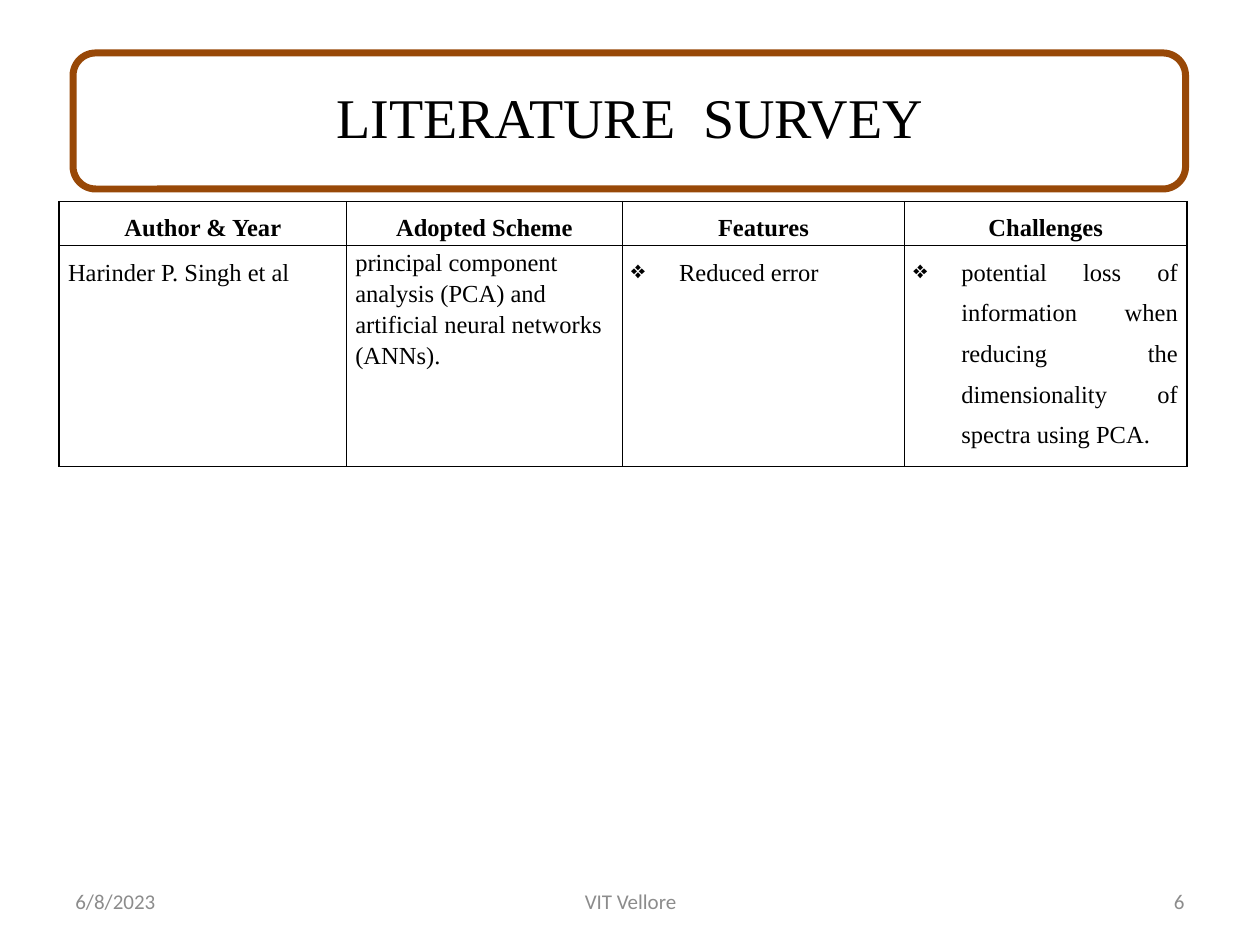
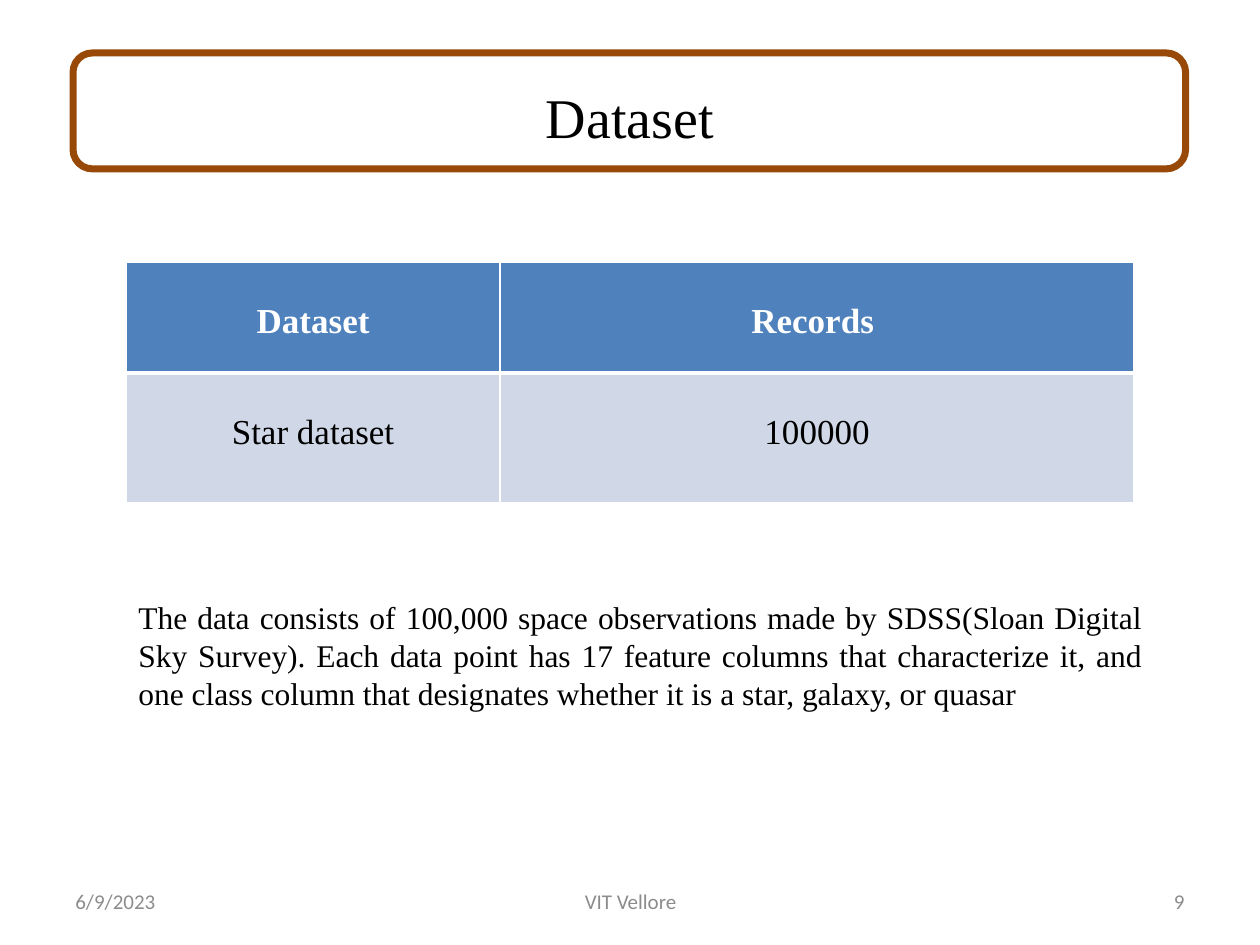
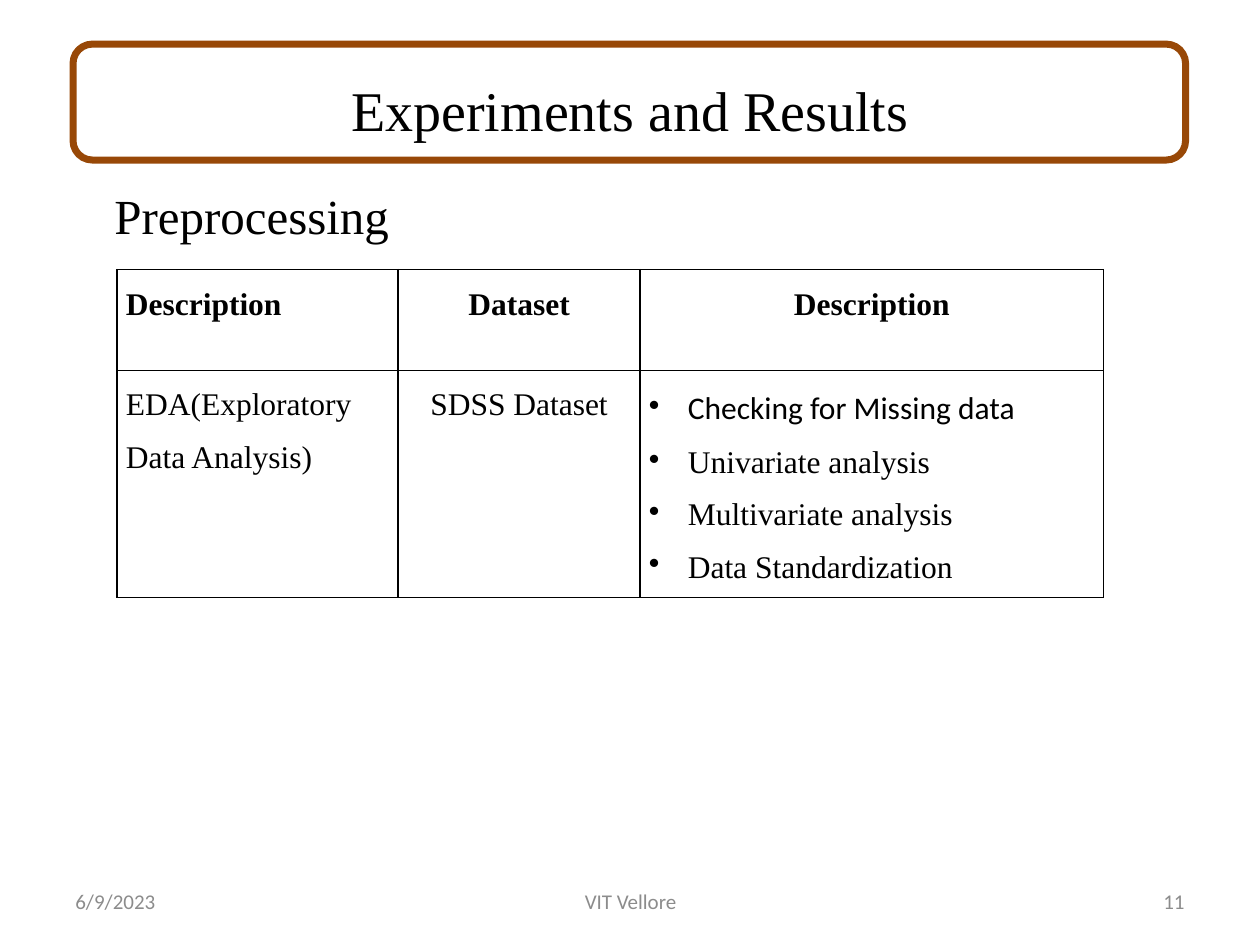
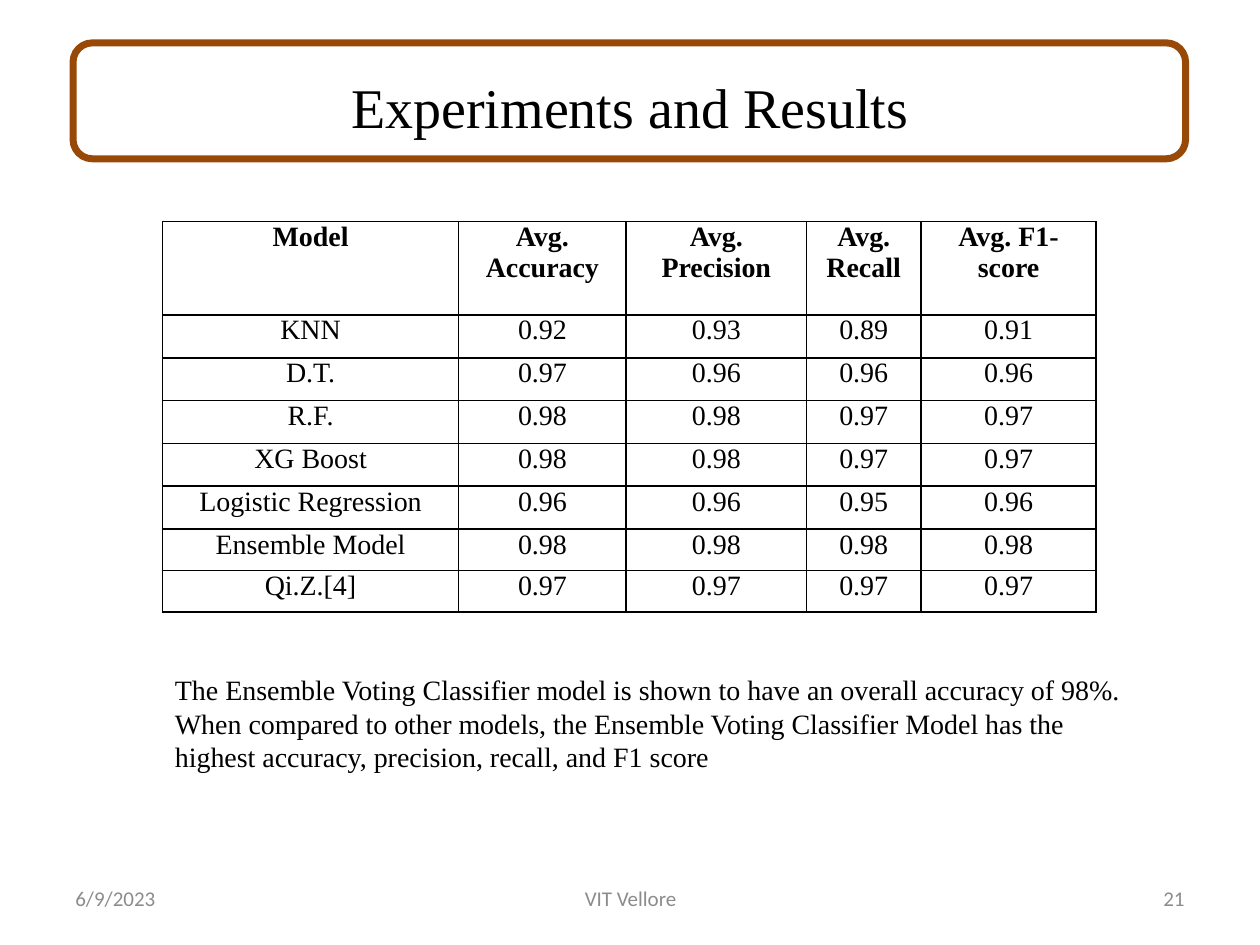
from collections.abc import Sequence
from dataclasses import dataclass, field, replace

from lxml.etree import SubElement
from pptx import Presentation
from pptx.dml.color import RGBColor
from pptx.enum.shapes import MSO_SHAPE
from pptx.enum.text import MSO_ANCHOR, MSO_AUTO_SIZE, PP_ALIGN
from pptx.oxml.ns import qn
from pptx.slide import Slide
from pptx.table import _Cell
from pptx.text.text import TextFrame, _Paragraph
from pptx.util import Emu, Pt

PX_PER_INCH = 100
COLORS = {
    "text": "000000",
    "white": "FFFFFF",
    "frame": "984807",
    "footer": "8C8C8C",
    "header": "4F81BD",
    "row": "D0D8E8",
}
SERIF = "Times New Roman"
SANS = "Calibri"
CENTER, LEFT, RIGHT, JUSTIFY = PP_ALIGN.CENTER, PP_ALIGN.LEFT, PP_ALIGN.RIGHT, PP_ALIGN.JUSTIFY


@dataclass(frozen=True)
class Area:
    left: int
    top: int
    width: int
    height: int


@dataclass(frozen=True)
class Style:
    size: int
    align: PP_ALIGN = LEFT
    font: str = SERIF
    color: str = "text"
    bold: bool = False
    spacing: float | None = None
    before: float = 0
    bullet: str = ""
    hanging: int = 0


@dataclass(frozen=True)
class Line:
    text: str
    style: Style


@dataclass(frozen=True)
class Border:
    color: str = "text"
    points: int = 1


@dataclass(frozen=True)
class Grid:
    left: int
    top: int
    columns: Sequence[int]
    heights: Sequence[int]
    cells: Sequence[Sequence[Sequence[Line]]]
    header_fill: str | None = None
    row_fill: str | None = None
    border: Border = field(default_factory=Border)
    divider: Border = field(default_factory=Border)
    inset_top: int = 0


@dataclass(frozen=True)
class Page:
    title: str
    date: str
    number: int
    title_top: int
    frame_top: int
    frame_height: int = 92
    footer_top: int = 695


TITLE = Style(32, CENTER)
FOOTER = Style(12, font=SANS, color="footer")


def px(value: int) -> Emu:
    return Emu(value * 914400 // PX_PER_INCH)


def rgb(name: str) -> RGBColor:
    return RGBColor.from_string(COLORS[name])


def style_paragraph(para: _Paragraph, style: Style) -> None:
    para.alignment = style.align
    if style.spacing:
        para.line_spacing = style.spacing
    if style.before:
        para.space_before = Pt(style.before)
    if style.hanging:
        properties = para._p.get_or_add_pPr()
        properties.set("marL", str(px(style.hanging)))
        properties.set("indent", str(-px(style.hanging)))
        if style.bullet:
            SubElement(properties, qn("a:buChar"), char=style.bullet)
    para.font.name = style.font
    para.font.size = Pt(style.size)
    para.font.bold = style.bold
    para.font.color.rgb = rgb(style.color)


def write_lines(frame: TextFrame, lines: Sequence[Line]) -> None:
    for index, line in enumerate(lines):
        para = frame.add_paragraph() if index else frame.paragraphs[0]
        para.add_run().text = line.text
        style_paragraph(para, line.style)


def add_text(
    page: Slide, area: Area, text: str, style: Style,
    anchor: MSO_ANCHOR = MSO_ANCHOR.TOP, grow: bool = False,
) -> None:
    box = page.shapes.add_textbox(px(area.left), px(area.top), px(area.width), px(area.height))
    frame = box.text_frame
    frame.word_wrap = True
    frame.vertical_anchor = anchor
    if grow:
        frame.auto_size = MSO_AUTO_SIZE.SHAPE_TO_FIT_TEXT
    write_lines(frame, [Line(text, style)])


def set_borders(cell: _Cell, borders: dict[str, Border]) -> None:
    properties = cell._tc.get_or_add_tcPr()
    for side, border in borders.items():
        line = SubElement(properties, qn(f"a:ln{side}"), w=str(Pt(border.points)))
        fill = SubElement(line, qn("a:solidFill"))
        SubElement(fill, qn("a:srgbClr"), val=COLORS[border.color])


def add_grid(page: Slide, grid: Grid) -> None:
    holder = page.shapes.add_table(
        len(grid.heights), len(grid.columns), px(grid.left), px(grid.top),
        px(sum(grid.columns)), px(sum(grid.heights)),
    )
    table = holder.table
    table.first_row = False
    table.horz_banding = False
    for column, width in zip(table.columns, grid.columns):
        column.width = px(width)
    for row, height in zip(table.rows, grid.heights):
        row.height = px(height)
    for row_index, row in enumerate(grid.cells):
        fill = grid.row_fill if row_index else grid.header_fill
        borders = dict.fromkeys("LRTB", grid.border)
        if row_index < 2:
            borders["T" if row_index else "B"] = grid.divider
        for column_index, lines in enumerate(row):
            cell = table.cell(row_index, column_index)
            cell.margin_left = cell.margin_right = px(7)
            cell.margin_top = px(grid.inset_top)
            cell.margin_bottom = 0
            write_lines(cell.text_frame, lines)
            set_borders(cell, borders)
            if fill:
                cell.fill.solid()
                cell.fill.fore_color.rgb = rgb(fill)
            else:
                cell.fill.background()


def row_of(texts: Sequence[str], style: Style) -> list[list[Line]]:
    return [[Line(text, style)] for text in texts]


def add_page(deck: Presentation, content: Page) -> Slide:
    page = deck.slides.add_slide(deck.slide_layouts[6])
    middle = MSO_ANCHOR.MIDDLE
    add_text(page, Area(50, content.title_top, 900, 125), content.title, TITLE, middle)
    outline = page.shapes.add_shape(
        MSO_SHAPE.FLOWCHART_ALTERNATE_PROCESS,
        px(58), px(content.frame_top), px(883), px(content.frame_height),
    )
    outline.shadow.inherit = False
    outline.fill.background()
    outline.line.color.rgb = rgb("frame")
    outline.line.width = Pt(4)
    for left, width, text, align in (
        (50, 233, content.date, LEFT),
        (717, 233, str(content.number), RIGHT),
        (342, 317, "VIT Vellore", CENTER),
    ):
        area = Area(left, content.footer_top, width, 40)
        add_text(page, area, text, replace(FOOTER, align=align), middle)
    return page


def add_survey(deck: Presentation) -> None:
    page = add_page(deck, Page("LITERATURE  SURVEY", "6/8/2023", 6, 30, 42, 108))
    header = Style(14, CENTER, bold=True, spacing=1.5)
    body = Style(14, JUSTIFY, spacing=1.5)
    point = replace(body, bullet="❖", hanging=38)
    challenge = (
        "potential loss of information when reducing the dimensionality of spectra using PCA."
    )
    scheme = "principal component analysis (PCA) and artificial neural networks (ANNs)."
    add_grid(page, Grid(47, 160, (228, 219, 224, 224), (29, 95), [
        row_of(("Author & Year", "Adopted Scheme", "Features", "Challenges"), header),
        [
            [Line("Harinder P. Singh et al", body)],
            [Line(scheme, Style(14, spacing=1.15))],
            [Line("Reduced error", point)],
            [Line(challenge, point)],
        ],
    ]))


def add_dataset(deck: Presentation) -> None:
    page = add_page(deck, Page("Dataset", "6/9/2023", 9, 30, 42))
    body = Style(20, CENTER, spacing=2)
    header = replace(body, color="white", bold=True)
    cells = [
        row_of(("Dataset", "Records "), header),
        row_of(("Star dataset", "100000"), body),
    ]
    add_grid(page, Grid(
        100, 208, (297, 503), (88, 103), cells, "header", "row",
        Border("white"), Border("white", 3), inset_top=1,
    ))
    summary = (
        "The data consists of 100,000 space observations made by SDSS(Sloan Digital Sky Survey). "
        "Each data point has 17 feature columns that characterize it, and one class column that "
        "designates whether it is a star, galaxy, or quasar "
    )
    add_text(page, Area(100, 470, 817, 101), summary, Style(18, JUSTIFY), grow=True)


def add_preprocessing(deck: Presentation) -> None:
    page = add_page(deck, Page("Experiments and Results", "6/9/2023", 11, 24, 35))
    heading = Style(28, before=5.6, hanging=38)
    add_text(page, Area(81, 142, 269, 49), "Preprocessing", heading)
    body = Style(18, spacing=1.5)
    centered = replace(body, align=CENTER)
    header = replace(centered, bold=True)
    point = replace(body, bullet="•", hanging=31)
    steps = ("Univariate analysis", "Multivariate analysis", "Data Standardization")
    cells = [
        [[Line("Description", replace(header, align=LEFT))]]
        + row_of(("Dataset", "Description"), header),
        [
            [Line("EDA(Exploratory Data Analysis)", body)],
            [Line("SDSS Dataset", centered)],
            [Line("Checking for Missing data", replace(point, font=SANS))]
            + [Line(step, point) for step in steps],
        ],
    ]
    add_grid(page, Grid(93, 214, (223, 192, 368), (80, 111), cells, "white", "white"))


def add_results(deck: Presentation) -> None:
    page = add_page(
        deck, Page("Experiments and Results", "6/9/2023", 21, 22, 34, footer_top=693)
    )
    body = Style(16, CENTER)
    measures = ("Accuracy", "Precision", "Recall", "F1-score")
    scores = {
        "KNN": (0.92, 0.93, 0.89, 0.91),
        "D.T.": (0.97, 0.96, 0.96, 0.96),
        "R.F.": (0.98, 0.98, 0.97, 0.97),
        "XG Boost": (0.98, 0.98, 0.97, 0.97),
        "Logistic Regression": (0.96, 0.96, 0.95, 0.96),
        "Ensemble Model": (0.98, 0.98, 0.98, 0.98),
        "Qi.Z.[4]": (0.97, 0.97, 0.97, 0.97),
    }
    titles = ["Model", *(f"Avg. {measure}" for measure in measures)]
    cells = [row_of(titles, replace(body, bold=True))]
    for model, values in scores.items():
        cells.append(row_of([model, *(f"{value:.2f}" for value in values)], body))
    heights = (74, *[34] * 5, *[33] * 2)
    add_grid(page, Grid(129, 176, (235, 133, 143, 91, 139), heights, cells))
    conclusion = (
        "The Ensemble Voting Classifier model is shown to have an overall accuracy of 98%. "
        "When compared to other models, the Ensemble Voting Classifier Model has the highest "
        "accuracy, precision, recall, and F1 score"
    )
    add_text(page, Area(129, 529, 783, 91), conclusion, Style(16), grow=True)


def main() -> None:
    deck = Presentation()
    deck.slide_width = px(1000)
    deck.slide_height = px(750)
    for add in (add_survey, add_dataset, add_preprocessing, add_results):
        add(deck)
    deck.save("out.pptx")


if __name__ == "__main__":
    main()
